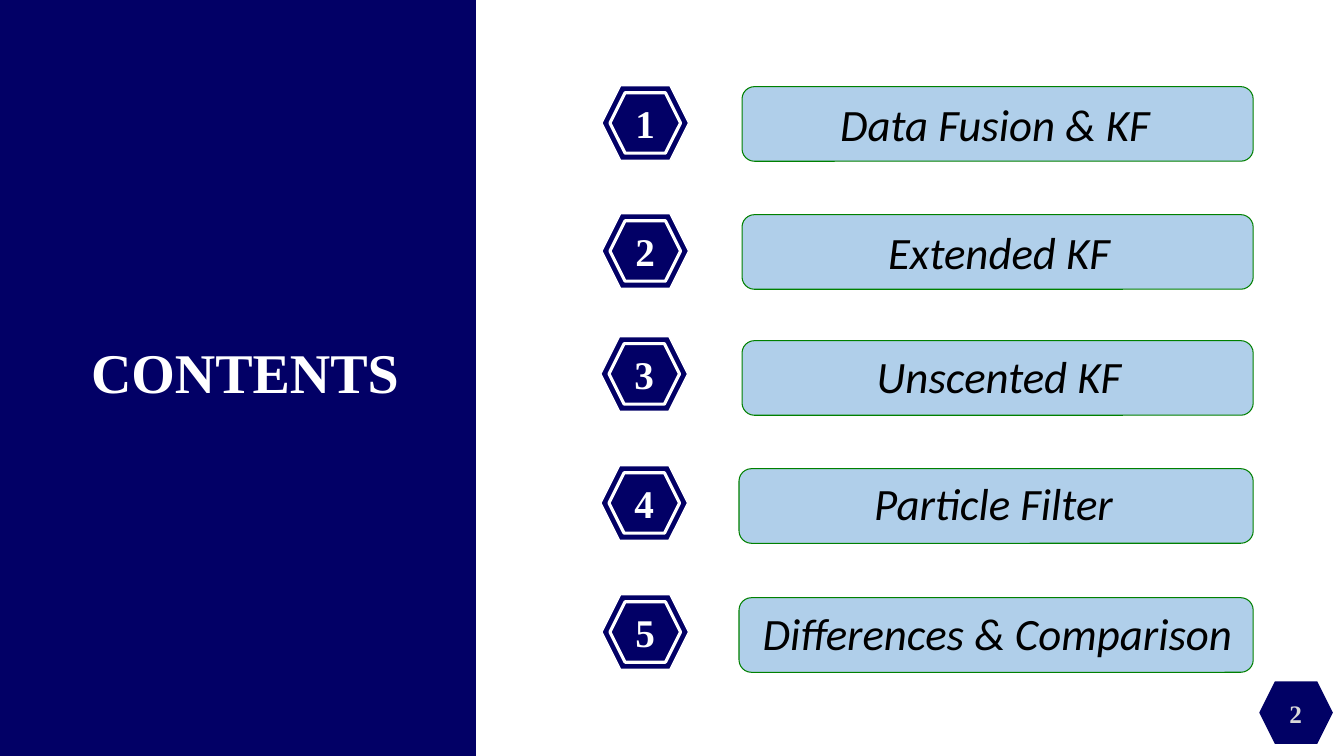
from pptx import Presentation
from pptx.dml.color import RGBColor
from pptx.enum.shapes import MSO_SHAPE
from pptx.enum.text import MSO_ANCHOR, PP_ALIGN
from pptx.oxml.ns import qn
from pptx.util import Inches, Pt
from lxml.etree import SubElement

NAVY, WHITE, BLACK = "020066", "FFFFFF", "000000"
SERIF, SANS = "Times New Roman", "Calibri"
BAR_RIGHT, BAR_HEIGHT = 12.43, 0.74

# topic, badge (left, top), bar (left, top), label (top, width)
TOPICS = [
    ("Data Fusion & KF", (5.97, 0.85), (7.36, 0.86), (0.91, 4.96)),
    ("Extended KF", (5.97, 2.12), (7.36, 2.13), (2.18, 5.04)),
    ("Unscented KF", (5.96, 3.34), (7.36, 3.38), (3.41, 5.04)),
    ("Particle Filter", (5.96, 4.62), (7.33, 4.65), (4.67, 4.99)),
    ("Differences & Comparison", (5.97, 5.9), (7.33, 5.93), (5.96, 5.07)),
]

deck = Presentation()
deck.slide_width, deck.slide_height = Inches(13.33), Inches(7.5)
page = deck.slides.add_slide(deck.slide_layouts[6])


def color(value):
    return RGBColor.from_string(value)


def add_shape(kind, left, top, width, height, fill, line=None, weight=1):
    shape = page.shapes.add_shape(kind, Inches(left), Inches(top), Inches(width), Inches(height))
    shape.shadow.inherit = False
    shape.fill.solid()
    shape.fill.fore_color.rgb = color(fill)
    if line:
        shape.line.color.rgb = color(line)
        shape.line.width = Pt(weight)
    else:
        shape.line.fill.background()
    return shape


def write(shape, text, size, font, ink, bold=False, italic=False, anchor=MSO_ANCHOR.MIDDLE):
    frame = shape.text_frame
    frame.word_wrap = True
    frame.vertical_anchor = anchor
    para = frame.paragraphs[0]
    para.text = text
    para.alignment = PP_ALIGN.CENTER
    para.font.size = Pt(size)
    para.font.name = font
    para.font.bold = bold
    para.font.italic = italic
    para.font.color.rgb = color(ink)
    return para


def add_text(left, top, width, height, *content, **style):
    box = page.shapes.add_textbox(Inches(left), Inches(top), Inches(width), Inches(height))
    return write(box, *content, **style)


def set_opacity(shape, percent):
    fill_color = shape.fill._xPr.find(qn("a:solidFill"))[0]
    SubElement(fill_color, qn("a:alpha")).set("val", str(percent * 1000))


def add_badge(number, left, top):
    add_shape(MSO_SHAPE.HEXAGON, left, top, 0.86, 0.74, NAVY, WHITE)
    inner = add_shape(MSO_SHAPE.HEXAGON, left + 0.08, top + 0.07, 0.7, 0.6, NAVY, WHITE, 2.25)
    frame = inner.text_frame
    frame.margin_left = frame.margin_right = frame.margin_top = frame.margin_bottom = 0
    write(inner, str(number), 28, SERIF, WHITE, bold=True)


def add_topic(text, left, top, label_top, label_width):
    bar = add_shape(MSO_SHAPE.ROUNDED_RECTANGLE, left, top, BAR_RIGHT - left, BAR_HEIGHT,
                    "5B9BD5", "008000", 0.75)
    set_opacity(bar, 48)
    add_text(left + 0.03, label_top, label_width, 0.64, text, 32, SANS, BLACK,
             italic=True, anchor=MSO_ANCHOR.TOP)


add_shape(MSO_SHAPE.RECTANGLE, 0, 0, 4.72, 7.5, NAVY)
title = add_text(0.6, 2.97, 3.66, 1.11, "CONTENTS", 40, SERIF, WHITE,
                 bold=True, anchor=MSO_ANCHOR.TOP)
title.line_spacing = 1.5

for number, (topic, badge, bar, label) in enumerate(TOPICS, start=1):
    add_badge(number, *badge)
    add_topic(topic, *bar, *label)

add_shape(MSO_SHAPE.HEXAGON, 12.49, 6.76, 0.73, 0.62, "010165")
add_text(12.43, 6.66, 0.84, 0.83, "2", 18, SERIF, "D9D9D9", bold=True)

deck.save("out.pptx")
